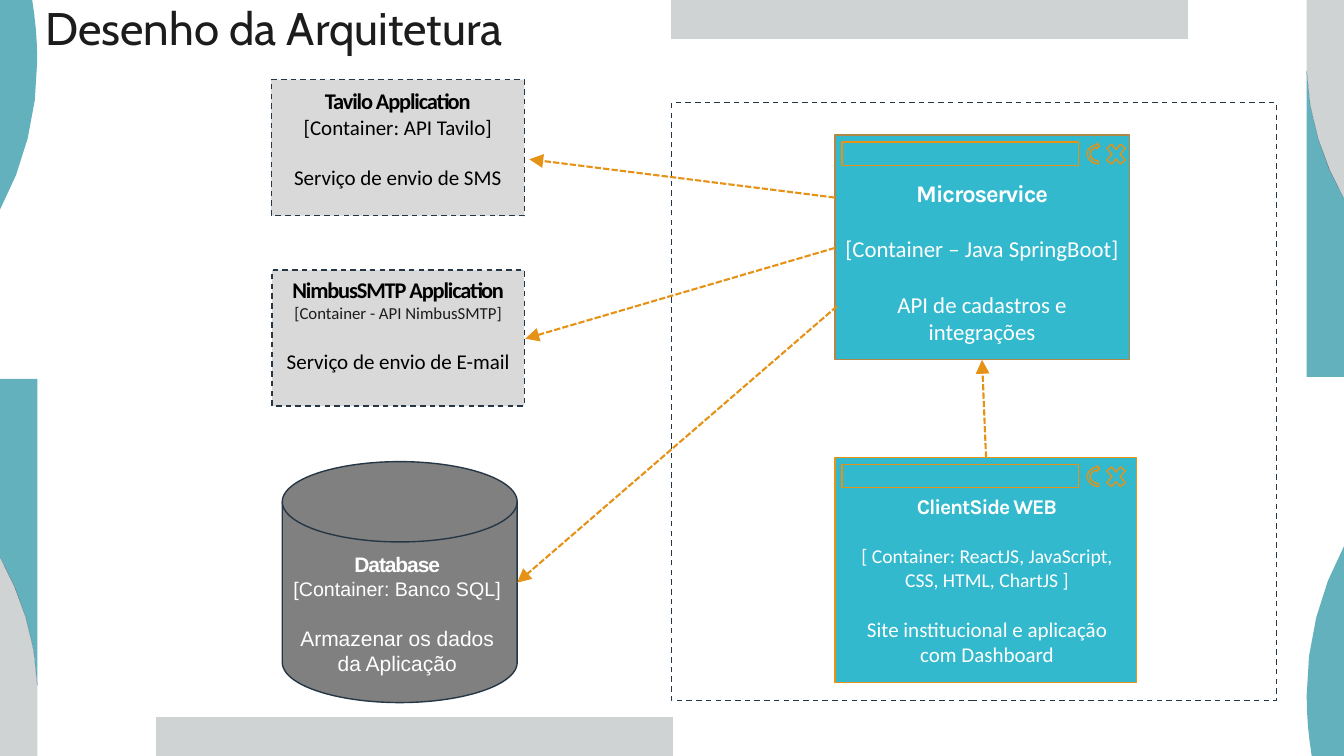
from pptx import Presentation
from pptx.dml.color import RGBColor
from pptx.enum.dml import MSO_LINE
from pptx.enum.shapes import MSO_CONNECTOR, MSO_SHAPE
from pptx.enum.text import MSO_ANCHOR, PP_ALIGN
from pptx.oxml.ns import qn
from pptx.util import Inches, Pt
from lxml.etree import SubElement

W, H = 13.33, 7.5
TEAL, GREY, NAVY = "63B1BC", "D0D3D4", "1F2A44"
CYAN, ORANGE, BRONZE = "32B9CD", "E59217", "B18748"
SLATE, SILVER, DISK = "253746", "D9D9D9", "808080"
WHITE, BLACK, INK = "FFFFFF", "000000", "1C1C1C"

# Each outline is a list of points; a six-number entry is a Bezier curve.
# Every one appears twice, the second time turned half round the slide centre.
DECOR = [
    (TEAL, [(0.32, 0), (0, 0), (0, 2.08), (0.24, 1.64, 0.37, 1.13, 0.37, 0.6),
            (0.37, 0.39, 0.35, 0.19, 0.32, 0)]),
    (GREY, [(6.66, 0), (11.78, 0), (11.78, 0.39), (6.66, 0.39)]),
    (TEAL, [(12.96, 0.71), (12.96, 3.74), (13.33, 3.74), (13.33, 1.97),
            (13.12, 1.6, 12.98, 1.17, 12.96, 0.71)]),
    (GREY, [(13.33, 1.97), (13.33, 0), (12.96, 0), (12.96, 0.7),
            (12.98, 1.16, 13.11, 1.59, 13.33, 1.97)]),
    (NAVY, [(13.33, 1.97), (13.11, 1.59, 12.98, 1.16, 12.96, 0.7), (12.96, 0.71),
            (12.98, 1.17, 13.12, 1.6, 13.33, 1.97)]),
]


def color(value):
    return RGBColor.from_string(value)


def flatten(path_points, steps=4):
    """Turn Bezier entries into short straight steps."""
    points = []
    for entry in path_points:
        if len(entry) == 2:
            points.append(entry)
            continue
        ends = [points[-1], entry[:2], entry[2:4], entry[4:]]
        for i in range(1, steps + 1):
            t = i / steps
            weights = ((1 - t) ** 3, 3 * t * (1 - t) ** 2, 3 * t * t * (1 - t), t ** 3)
            points.append(tuple(sum(k * e[axis] for k, e in zip(weights, ends))
                                for axis in (0, 1)))
    return points


def decorate(s):
    for turned in (False, True):
        for fill, outline in DECOR:
            points = [(Inches(W - x), Inches(H - y)) if turned else (Inches(x), Inches(y))
                      for x, y in flatten(outline)]
            builder = s.shapes.build_freeform(*points[0], scale=1.0)
            builder.add_line_segments(points[1:], close=True)
            paint(builder.convert_to_shape(), fill)


def paint(sp, fill=None, line=None, dash=None):
    sp.shadow.inherit = False
    if fill:
        sp.fill.solid()
        sp.fill.fore_color.rgb = color(fill)
    else:
        sp.fill.background()
    if line:
        sp.line.color.rgb = color(line)
        sp.line.width = Pt(1)
        sp.line.dash_style = dash
    else:
        sp.line.fill.background()


def add_box(s, kind, x, y, w, h, rotation=0, **style):
    sp = s.shapes.add_shape(kind, Inches(x), Inches(y), Inches(w), Inches(h))
    sp.rotation = rotation
    paint(sp, **style)
    return sp


def add_para(tf, text, size, font="Calibri", fill=WHITE, bold=False, spacing=0,
             before=0, align=PP_ALIGN.CENTER):
    p = tf.paragraphs[0]
    if p.runs:
        p = tf.add_paragraph()
    p.alignment = align
    p.space_before = Pt(before)
    r = p.add_run()
    r.text = text
    r.font.name, r.font.size, r.font.bold = font, Pt(size), bold
    r.font.color.rgb = color(fill)
    if spacing:
        r.font._element.set("spc", str(round(spacing * 100)))
    return p


def add_text_frame(s, x, y, w, h):
    tf = s.shapes.add_textbox(Inches(x), Inches(y), Inches(w), Inches(h)).text_frame
    tf.word_wrap = True
    return tf


def add_label(tf, name, container, role, name_size, container_size, role_size, gap=18,
              container_gap=0, name_font="Calibri", font="Calibri", fill=WHITE,
              container_fill=None):
    """Write a component's name, its container and its role."""
    add_para(tf, name, name_size, name_font, fill, bold=True, spacing=-0.8)
    add_para(tf, container, container_size, font, container_fill or fill,
             before=container_gap)
    add_para(tf, role, role_size, font, fill, before=gap)


def add_arrow(s, x1, y1, x2, y2):
    c = s.shapes.add_connector(MSO_CONNECTOR.STRAIGHT, Inches(x1), Inches(y1),
                               Inches(x2), Inches(y2))
    c.line.color.rgb = color(ORANGE)
    c.line.width = Pt(1.5)
    c.line.dash_style = MSO_LINE.SQUARE_DOT
    SubElement(c.line._get_or_add_ln(), qn("a:tailEnd"), type="triangle", w="lg", len="lg")
    SubElement(c._element.spPr, qn("a:effectLst"))


def add_window(s, x, y, w, h, line):
    """Draw a program window with its title bar and two buttons."""
    window = add_box(s, MSO_SHAPE.RECTANGLE, x, y, w, h, fill=CYAN, line=line)
    add_box(s, MSO_SHAPE.RECTANGLE, x + 0.07, y + 0.07, 2.35, 0.23, line=ORANGE)
    add_box(s, MSO_SHAPE.MATH_MULTIPLY, x + 2.66, y + 0.04, 0.26, 0.3, line=ORANGE)
    add_box(s, MSO_SHAPE.CIRCULAR_ARROW, x + 2.51, y + 0.06, 0.22, 0.26, rotation=275,
            line=ORANGE)
    return window


def add_title(s, x, y, w, h):
    tf = add_text_frame(s, x, y, w, h)
    tf.vertical_anchor = MSO_ANCHOR.MIDDLE
    p = add_para(tf, "Desenho da Arquitetura", 32.6, "Cabin", INK, align=PP_ALIGN.LEFT)
    p.line_spacing = 0.9


def add_service(s, x, y, w, h, text_top, **label):
    add_box(s, MSO_SHAPE.RECTANGLE, x, y, w, h, fill=SILVER, line=SLATE, dash=MSO_LINE.DASH)
    tf = add_text_frame(s, x, y + text_top, w, h - 0.25)
    add_label(tf, name_size=16, role_size=15, fill=BLACK, **label)


def add_database(s, x, y, w, h):
    add_box(s, MSO_SHAPE.FLOWCHART_MAGNETIC_DISK, x, y, w, h, fill=DISK, line=SLATE)
    tf = add_text_frame(s, x - 0.03, y + 0.84, w + 0.01, 1.35)
    add_label(tf, "Database", "[Container: Banco SQL]", "Armazenar os dados da Aplicação",
              15, 14, 15, name_font="Arial", font="Arial")


def add_microservice(s, x, y, w, h):
    tf = add_window(s, x, y, w, h, BRONZE).text_frame
    tf.word_wrap = True
    tf.vertical_anchor = MSO_ANCHOR.MIDDLE
    tf.margin_top = Inches(0.33)
    add_label(tf, "Microservice", "[Container – Java SpringBoot]",
              "API de cadastros e integrações", 17, 16.3, 16.3, gap=20,
              container_gap=20, name_font="Karla")


def add_client(s, x, y, w, h):
    add_window(s, x, y, w, h, ORANGE)
    tf = add_text_frame(s, x + 0.08, y + 0.31, w - 0.13, 1.83)
    add_label(tf, "ClientSide WEB", "[ Container: ReactJS, JavaScript, CSS, HTML, ChartJS ]",
              "Site institucional e aplicação com Dashboard", 15, 14, 15,
              container_gap=18, name_font="Karla")


def main():
    prs = Presentation()
    prs.slide_width, prs.slide_height = Inches(W), Inches(H)
    s = prs.slides.add_slide(prs.slide_layouts[6])
    decorate(s)
    add_title(s, 0.35, 0, 11.88, 0.6)
    add_box(s, MSO_SHAPE.RECTANGLE, 6.66, 1.02, 6, 5.93, line=SLATE, dash=MSO_LINE.DASH)
    add_service(s, 2.69, 0.79, 2.51, 1.35, 0.03, name="Tavilo Application",
                container="[Container: API Tavilo]", container_size=15,
                role="Serviço de envio de SMS")
    add_service(s, 2.7, 2.68, 2.5, 1.35, 0.01, name="NimbusSMTP Application",
                container="[Container - API NimbusSMTP]", container_size=12,
                container_fill=INK, role="Serviço de envio de E-mail")
    add_database(s, 2.8, 4.58, 2.33, 2.39)
    add_microservice(s, 8.28, 1.34, 2.92, 2.23)
    add_client(s, 8.28, 4.54, 2.99, 2.23)
    for ends in [(8.28, 1.96, 5.25, 1.58), (8.28, 2.46, 5.21, 3.36),
                 (8.3, 3.04, 5.13, 5.78), (9.78, 4.54, 9.74, 3.57)]:
        add_arrow(s, *ends)
    prs.save("out.pptx")


if __name__ == "__main__":
    main()
